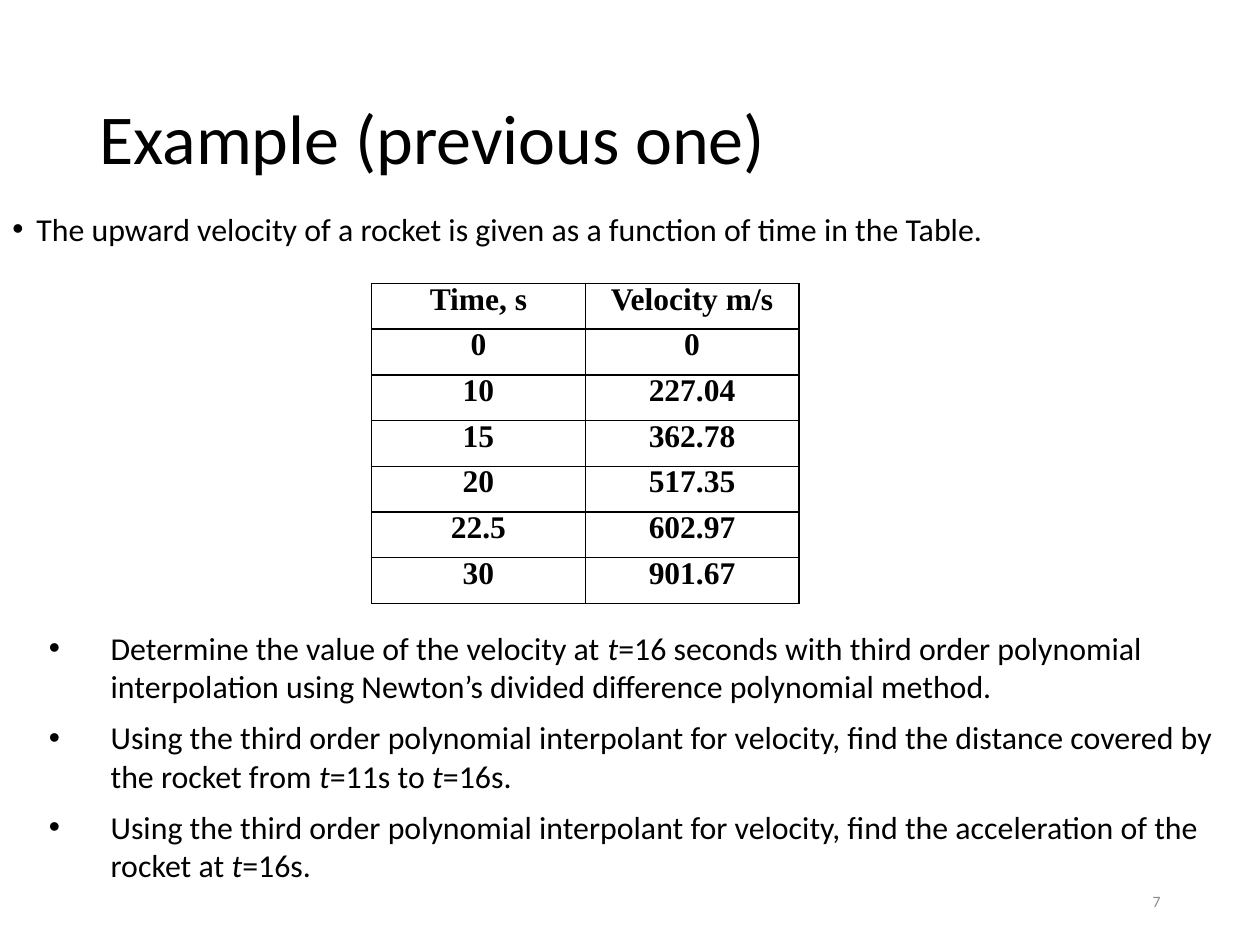
from dataclasses import dataclass

from lxml import etree
from pptx import Presentation
from pptx import util as u
from pptx.dml.color import RGBColor
from pptx.enum import text
from pptx.oxml import ns


@dataclass
class Theme:
    sans: str = "Calibri"
    serif: str = "Times New Roman"
    ink: str = "000000"
    gray: str = "8C8C8C"
    head: float = 40
    body: float = 18.2
    cell: float = 18
    foot: float = 9


look = Theme()


def style(font, size, name=look.sans, color=look.ink):
    font.size = u.Pt(size)
    font.name = name
    font.color.rgb = RGBColor.from_string(color)


def add_box(left, top, width, height, anchor):
    box = slide.shapes.add_textbox(*map(u.Inches, (left, top, width, height)))
    frame = box.text_frame
    frame.word_wrap = True
    frame.vertical_anchor = anchor
    return frame


deck = Presentation()
deck.slide_width, deck.slide_height = u.Inches(10), u.Inches(7.5)
slide = deck.slides.add_slide(deck.slide_layouts[6])
middle = text.MSO_ANCHOR.MIDDLE

# Title
title = add_box(0.69, 0.4, 8.62, 1.45, middle)
title.text = "Example (previous one)"
title.paragraphs[0].line_spacing = 0.9
style(title.paragraphs[0].runs[0].font, look.head)

# Bullets: text (* marks italics), margin, hang, space before, line spacing
# The large space before the first task leaves room for the table
items = [
    ("The upward velocity of a rocket is given as a function of time in the Table.",
     0.19, 0.19, 0, 0.7),
    ("Determine the value of the velocity at *t*=16 seconds with third order polynomial "
     "interpolation using Newton’s divided difference polynomial method.",
     0.78, 0.49, 218, 1),
    ("Using the third order polynomial interpolant for velocity, find the distance "
     "covered by the rocket from *t*=11s to *t*=16s.", 0.78, 0.49, 7.5, 1),
    ("Using the third order polynomial interpolant for velocity, find the acceleration "
     "of the rocket at *t*=16s.", 0.78, 0.49, 7.5, 1),
]
body = add_box(0, 1.7, 10, 5.8, text.MSO_ANCHOR.TOP)
for i, (words, left, hang, gap, pitch) in enumerate(items):
    para = body.paragraphs[0] if i == 0 else body.add_paragraph()
    para.space_before = u.Pt(gap)
    para.line_spacing = pitch
    props = para._p.get_or_add_pPr()
    props.set("marL", str(u.Inches(left)))
    props.set("indent", str(-u.Inches(hang)))
    etree.SubElement(props, ns.qn("a:buFont")).set("typeface", "Arial")
    etree.SubElement(props, ns.qn("a:buChar")).set("char", "•")
    for j, part in enumerate(words.split("*")):
        run = para.add_run()
        run.text = part
        style(run.font, look.body)
        run.font.italic = j % 2 == 1

# Velocity table
rows = [
    ("Time, s", "Velocity m/s"),
    ("0", "0"),
    ("10", "227.04"),
    ("15", "362.78"),
    ("20", "517.35"),
    ("22.5", "602.97"),
    ("30", "901.67"),
]
table = slide.shapes.add_table(len(rows), 2, u.Inches(2.95), u.Inches(2.25),
                               u.Inches(3.39), u.Inches(2.54)).table
table.first_row = table.horz_banding = False
for r, row in enumerate(rows):
    for c, value in enumerate(row):
        cell = table.cell(r, c)
        cell.text = value
        cell.vertical_anchor = middle
        cell.margin_left = cell.margin_right = u.Inches(0.07)
        cell.margin_top = cell.margin_bottom = 0
        para = cell.text_frame.paragraphs[0]
        para.alignment = text.PP_ALIGN.CENTER
        para.line_spacing = u.Pt(12)
        font = para.runs[0].font
        style(font, look.cell, look.serif)
        font.bold = True
        # Borders come before the fill in the cell properties
        props = cell._tc.get_or_add_tcPr()
        for side in ("lnL", "lnR", "lnT", "lnB"):
            line = etree.SubElement(props, ns.qn(f"a:{side}"), w=str(u.Pt(1)))
            fill = etree.SubElement(line, ns.qn("a:solidFill"))
            etree.SubElement(fill, ns.qn("a:srgbClr"), val=look.ink)
        cell.fill.background()

# Slide number
num = add_box(7.06, 6.95, 2.25, 0.4, middle)
num.text = "7"
num.paragraphs[0].alignment = text.PP_ALIGN.RIGHT
style(num.paragraphs[0].runs[0].font, look.foot, color=look.gray)

deck.save("out.pptx")
